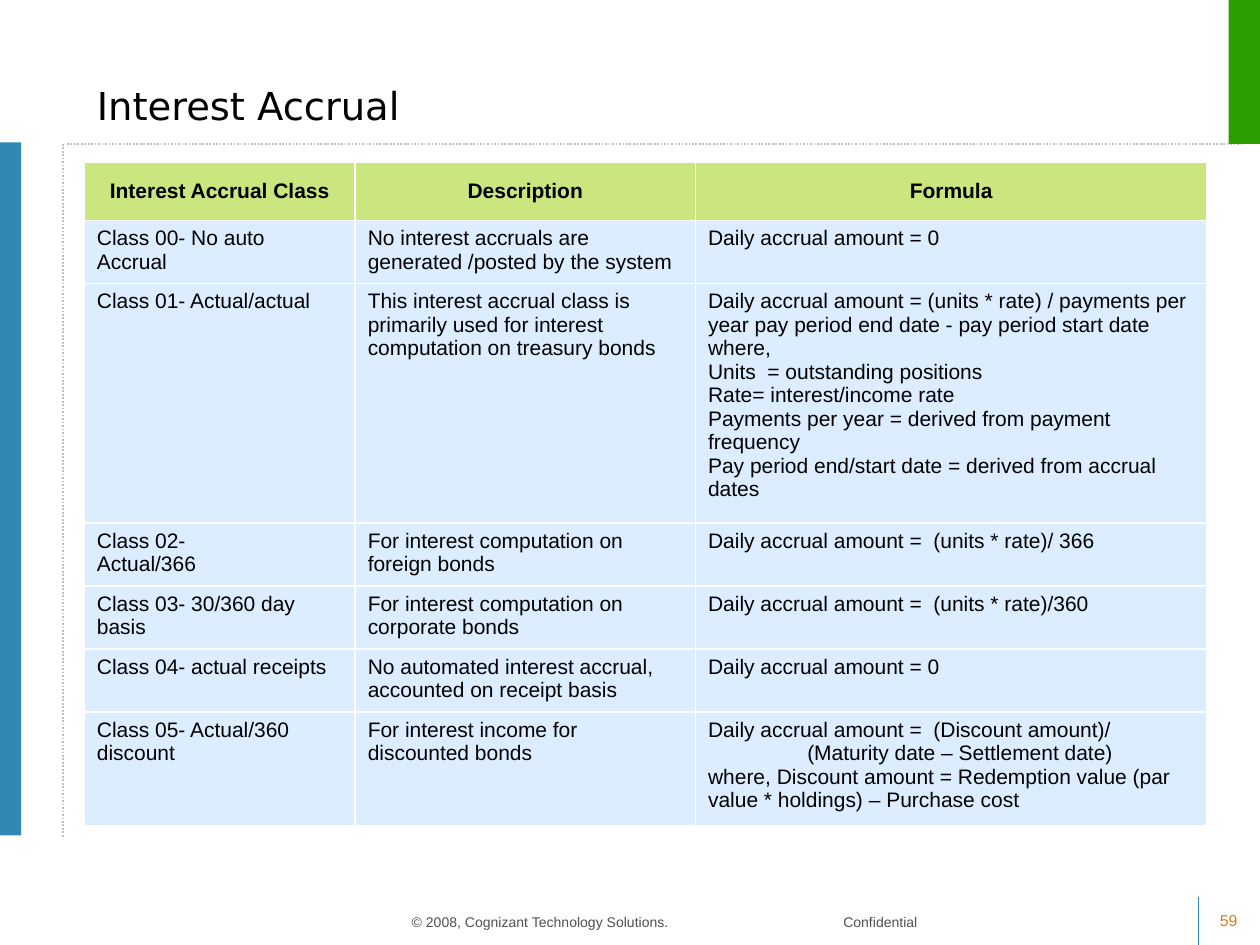
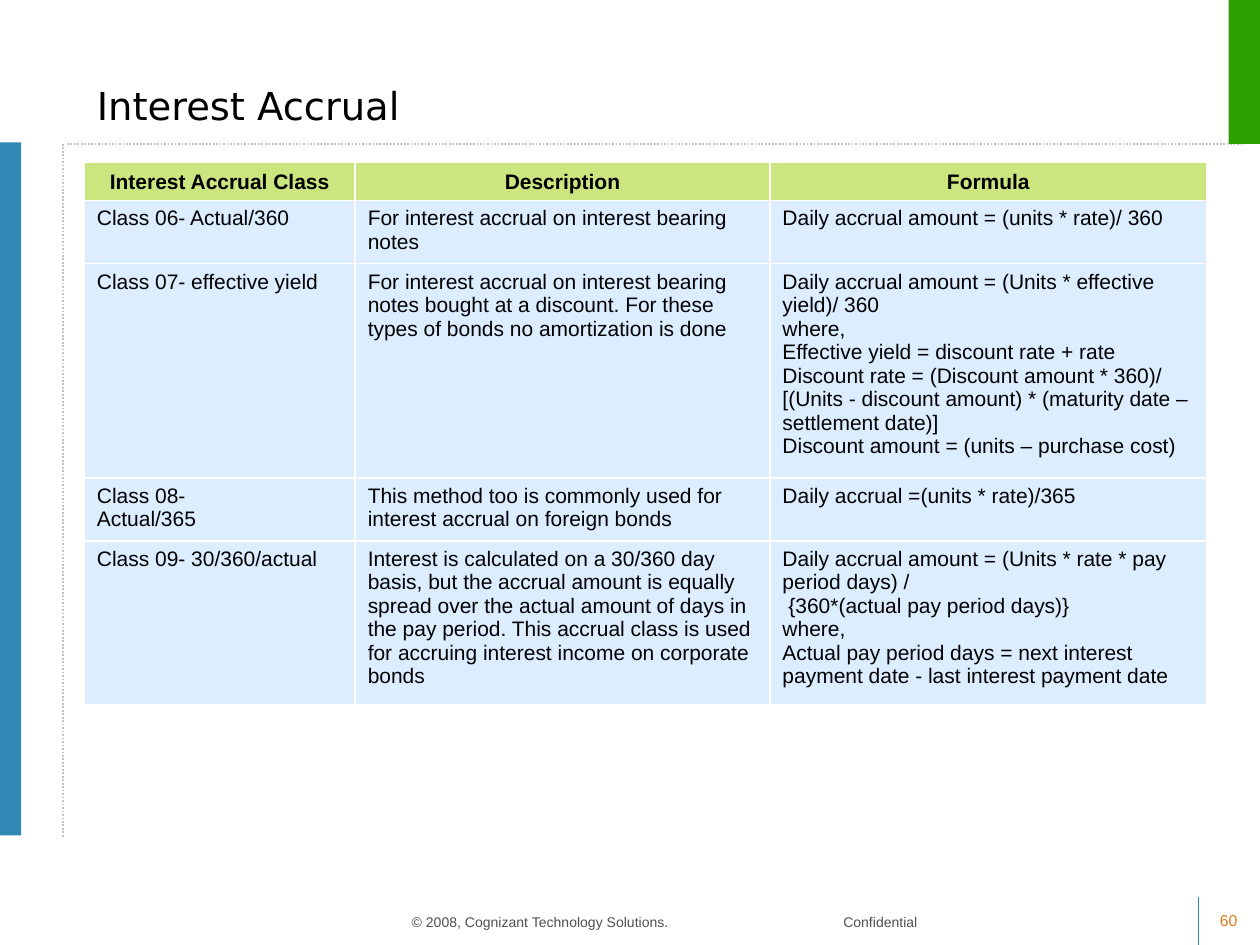
from lxml import etree
from pptx import Presentation
from pptx.dml.color import RGBColor
from pptx.enum.dml import MSO_LINE
from pptx.enum.shapes import MSO_CONNECTOR, MSO_SHAPE
from pptx.enum.text import MSO_ANCHOR, PP_ALIGN
from pptx.oxml.ns import qn
from pptx.util import Cm, Pt

STRAIGHT, RECT, DOTTED = MSO_CONNECTOR.STRAIGHT, MSO_SHAPE.RECTANGLE, MSO_LINE.ROUND_DOT
TOP, MIDDLE, BOTTOM = MSO_ANCHOR.TOP, MSO_ANCHOR.MIDDLE, MSO_ANCHOR.BOTTOM
LEFT, CENTER = PP_ALIGN.LEFT, PP_ALIGN.CENTER

BLACK = RGBColor(0x00, 0x00, 0x00)
WHITE = RGBColor(0xFF, 0xFF, 0xFF)
BLUE = RGBColor(0x31, 0x88, 0xB4)
GREEN = RGBColor(0x2D, 0x9E, 0x01)
GRAY = RGBColor(0xC0, 0xC0, 0xC0)
DARK_GRAY = RGBColor(0x50, 0x50, 0x50)
ORANGE = RGBColor(0xDF, 0x7A, 0x1C)
LIME = RGBColor(0x99, 0xCC, 0x00)
PALE_BLUE = RGBColor(0xB9, 0xDC, 0xFF)

BODY_FONT, TITLE_FONT = "Arial", "DejaVu Sans"
TITLE_ONLY = 5
MARGIN = 1.7

HEADER = ["Interest Accrual Class", "Description", "Formula"]

# A cell is a text or a list of paragraphs; a paragraph may be (text, indent in cm).
CLASSES_00_TO_05 = [
    [["Class 00- No auto", "Accrual"],
     "No interest accruals are generated /posted by the system",
     "Daily accrual amount = 0"],
    ["Class 01- Actual/actual",
     "This interest accrual class is primarily used for interest computation on treasury bonds",
     ["Daily accrual amount = (units * rate) / payments per year pay period end date"
      " - pay period start date where,",
      "Units  = outstanding positions",
      "Rate= interest/income rate",
      "Payments per year = derived from payment frequency",
      "Pay period end/start date = derived from accrual dates"]],
    [["Class 02-", "Actual/366"],
     "For interest computation on foreign bonds",
     "Daily accrual amount =  (units * rate)/ 366"],
    ["Class 03- 30/360 day basis",
     "For interest computation on corporate bonds",
     "Daily accrual amount =  (units * rate)/360"],
    ["Class 04- actual receipts",
     "No automated interest accrual, accounted on receipt basis",
     "Daily accrual amount = 0"],
    ["Class 05- Actual/360 discount",
     "For interest income for discounted bonds",
     ["Daily accrual amount =  (Discount amount)/",
      ("(Maturity date – Settlement date)", 2),
      "where, Discount amount = Redemption value (par value * holdings) – Purchase cost"]],
]

CLASSES_06_TO_09 = [
    ["Class 06- Actual/360",
     "For interest accrual on interest bearing notes",
     "Daily accrual amount = (units * rate)/ 360"],
    ["Class 07- effective yield",
     "For interest accrual on interest bearing notes bought at a discount. "
     "For these types of bonds no amortization is done",
     ["Daily accrual amount = (Units * effective yield)/ 360",
      "where,",
      "Effective yield = discount rate + rate",
      "Discount rate = (Discount amount * 360)/",
      "[(Units - discount amount) * (maturity date – settlement date)]",
      "Discount amount = (units – purchase cost)"]],
    [["Class 08-", "Actual/365"],
     "This method too is commonly used for interest accrual on foreign bonds",
     "Daily accrual =(units * rate)/365"],
    ["Class 09- 30/360/actual",
     "Interest is calculated on a 30/360 day basis, but the accrual amount is equally spread "
     "over the actual amount of days in the pay period. This accrual class is used for "
     "accruing interest income on corporate bonds",
     ["Daily accrual amount = (Units * rate * pay period days) /",
      ("{360*(actual pay period days)}", 0.12),
      "where,",
      "Actual pay period days = next interest payment date - last interest payment date"]],
]


def put_text(tf, content, size=12, color=BLACK, font=BODY_FONT, bold=False, align=LEFT,
             tab=None):
    """Fill a text frame with one paragraph per item; tab is a tab stop in cm."""
    paragraphs = content if isinstance(content, list) else [content]
    for i, item in enumerate(paragraphs):
        text, indent = item if isinstance(item, tuple) else (item, 0)
        p = tf.paragraphs[0] if i == 0 else tf.add_paragraph()
        p.alignment = align
        pPr = p._p.get_or_add_pPr()
        if indent:
            pPr.set("marL", str(Cm(indent)))
        if tab:
            stops = etree.SubElement(pPr, qn("a:tabLst"))
            etree.SubElement(stops, qn("a:tab"), pos=str(Cm(tab)), algn="l")
        r = p.add_run()
        r.text = text
        r.font.size, r.font.name, r.font.bold = Pt(size), font, bold
        r.font.color.rgb = color


def format_cell(cell, color):
    """Give a cell a half-transparent fill and thin white borders."""
    cell.fill.solid()
    cell.fill.fore_color.rgb = color
    tcPr = cell._tc.get_or_add_tcPr()
    etree.SubElement(tcPr.find(".//" + qn("a:srgbClr")), qn("a:alpha"), val="50000")
    for i, side in enumerate(("lnL", "lnR", "lnT", "lnB")):
        ln = etree.Element(qn("a:" + side), w=str(Pt(0.96)))
        fill = etree.SubElement(ln, qn("a:solidFill"))
        etree.SubElement(fill, qn("a:srgbClr"), val=str(WHITE))
        tcPr.insert(i, ln)


class Deck:
    def __init__(self):
        self.prs = Presentation()
        self.prs.slide_width, self.prs.slide_height = Cm(25.4), Cm(19.05)
        self.s = None

    def line(self, x1, y1, x2, y2, color, dash=None):
        sp = self.s.shapes.add_connector(STRAIGHT, Cm(x1), Cm(y1), Cm(x2), Cm(y2))
        sp.line.color.rgb, sp.line.width = color, Pt(1)
        if dash:
            sp.line.dash_style = dash
        etree.SubElement(sp._element.spPr, qn("a:effectLst"))

    def bar(self, x, y, w, h, color):
        sp = self.s.shapes.add_shape(RECT, Cm(x), Cm(y), Cm(w), Cm(h))
        sp.shadow.inherit = False
        sp.fill.solid()
        sp.fill.fore_color.rgb = color
        sp.line.fill.background()

    def label(self, x, y, w, h, text, anchor=TOP, **fmt):
        tf = self.s.shapes.add_textbox(Cm(x), Cm(y), Cm(w), Cm(h)).text_frame
        tf.word_wrap, tf.vertical_anchor = True, anchor
        put_text(tf, text, **fmt)

    def title(self, text):
        sp = self.s.shapes.title
        sp.left, sp.top, sp.width, sp.height = Cm(MARGIN), Cm(1.02), Cm(22.63), Cm(1.7)
        sp.text_frame.vertical_anchor = BOTTOM
        put_text(sp.text_frame, text, size=22, font=TITLE_FONT)

    def table(self, rows, widths, heights):
        rows = [HEADER] + rows
        table = self.s.shapes.add_table(len(rows), len(widths), Cm(MARGIN), Cm(3.28),
                                        Cm(sum(widths)), Cm(sum(heights))).table
        table.first_row = table.horz_banding = False
        for column, width in zip(table.columns, widths):
            column.width = Cm(width)
        for i, (row, height) in enumerate(zip(rows, heights)):
            table.rows[i].height = Cm(height)
            head = i == 0
            for j, content in enumerate(row):
                cell = table.cell(i, j)
                cell.vertical_anchor = MIDDLE if head else TOP
                put_text(cell.text_frame, content, bold=head, align=CENTER if head else LEFT)
                format_cell(cell, LIME if head else PALE_BLUE)

    def new_slide(self, title, number):
        """Add a slide with the shared frame, footer and title."""
        self.s = self.prs.slides.add_slide(self.prs.slide_layouts[TITLE_ONLY])
        self.line(24.16, 19.05, 24.16, 18.08, BLUE)
        self.line(1.35, 2.9, 25.04, 2.9, GRAY, DOTTED)
        self.line(1.27, 2.9, 1.27, 16.87, GRAY, DOTTED)
        self.bar(0, 2.87, 0.43, 13.97, BLUE)
        self.bar(24.77, 0, 0.63, 2.9, GREEN)
        self.label(8.05, 17.86, 14.38, 1.02,
                   "© 2008, Cognizant Technology Solutions.\tConfidential",
                   anchor=BOTTOM, size=8, color=DARK_GRAY, tab=8.7)
        self.label(24.26, 18.24, 1.02, 0.64, str(number), size=9, color=ORANGE, align=CENTER)
        self.title(title)


def main():
    deck = Deck()
    deck.new_slide("Interest Accrual", 59)
    deck.table(CLASSES_00_TO_05, [5.46, 6.86, 10.31],
               [1.16, 1.27, 4.83, 1.27, 1.27, 1.27, 2.29])
    deck.new_slide("Interest Accrual", 60)
    deck.table(CLASSES_06_TO_09, [5.46, 8.36, 8.81], [0.76, 1.27, 4.32, 1.27, 3.3])
    deck.prs.save("out.pptx")


if __name__ == "__main__":
    main()
